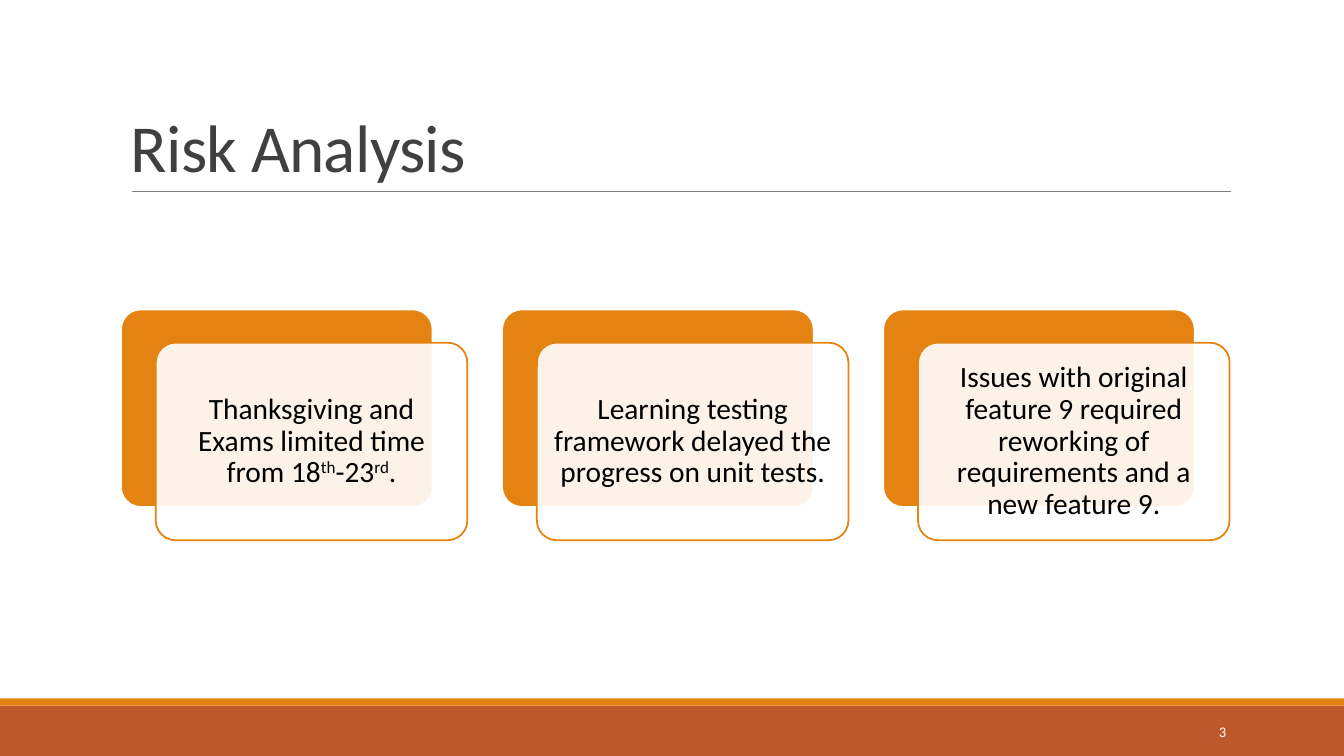
from lxml import etree
from pptx import Presentation
from pptx.dml.color import RGBColor
from pptx.enum import shapes, text
from pptx.oxml import ns
from pptx.util import Inches, Pt

TITLE = "Risk Analysis"
NUMBER = "3"
RISKS = [
    [("Thanksgiving and Exams limited time from 18", 0), ("th", 30),
     ("-23", 0), ("rd", 30), (".", 0)],
    [("Learning testing framework delayed the progress on unit tests.", 0)],
    [("Issues with original feature 9 required reworking of requirements "
      "and a new feature 9.", 0)],
]
COLORS = {"orange": "E48312", "rust": "BD582C", "gray": "808080",
          "dark": "404040", "black": "000000", "white": "FFFFFF"}
FONT = "Calibri"
WIDE, HIGH = 13.33, 7.5
LEFT, TOP, STEP = 1.2, 3.07, 3.78
CARD = (3.09, 1.96)
SHIFT = (0.345, 0.33)
PAD = 0.055


def color(name):
    return RGBColor.from_string(COLORS[name])


def box(slide, area, fill, kind="RECTANGLE", line=None, alpha=None):
    shape = slide.shapes.add_shape(
        getattr(shapes.MSO_SHAPE, kind), *map(Inches, area))
    shape.shadow.inherit = False
    shape.fill.solid()
    shape.fill.fore_color.rgb = color(fill)
    if alpha:
        tint = shape.fill._xPr.find(".//" + ns.qn("a:srgbClr"))
        etree.SubElement(tint, ns.qn("a:alpha"), val=str(alpha * 1000))
    if line:
        shape.line.color.rgb = color(line)
        shape.line.width = Pt(1.25)
    else:
        shape.line.fill.background()
    if kind == "ROUNDED_RECTANGLE":
        shape.adjustments[0] = 0.1


def write(slide, runs, area, size, tone, align="LEFT", anchor="MIDDLE",
          lead=1.0, inset=(0.1, 0.05), track=0):
    frame = slide.shapes.add_textbox(*map(Inches, area)).text_frame
    frame.word_wrap = True
    frame.vertical_anchor = getattr(text.MSO_ANCHOR, anchor)
    frame.margin_left = frame.margin_right = Inches(inset[0])
    frame.margin_top = frame.margin_bottom = Inches(inset[1])
    para = frame.paragraphs[0]
    para.alignment = getattr(text.PP_ALIGN, align)
    para.line_spacing = lead
    for words, raised in runs:
        run = para.add_run()
        run.text = words
        run.font.name = FONT
        run.font.size = Pt(size)
        run.font.color.rgb = color(tone)
        props = run.font._element
        if raised:
            props.set("baseline", str(raised * 1000))
        if track:
            props.set("spc", str(int(track * 100)))


def rule(slide, start, end):
    line = slide.shapes.add_connector(
        shapes.MSO_CONNECTOR.STRAIGHT, *map(Inches, start + end))
    line.line.color.rgb = color("gray")
    line.line.width = Pt(0.5)
    etree.SubElement(line._element.spPr, ns.qn("a:effectLst"))


def main():
    deck = Presentation()
    deck.slide_width, deck.slide_height = Inches(WIDE), Inches(HIGH)
    slide = deck.slides.add_slide(deck.slide_layouts[6])

    box(slide, (0, 7, WIDE, 0.5), "rust")
    box(slide, (0, 6.93, WIDE, 0.07), "orange")
    rule(slide, (1.31, 1.9), (12.21, 1.9))
    write(slide, [(TITLE, 0)], (LEFT, 0.31, 11, 1.59), 48, "dark",
          anchor="BOTTOM", lead=0.85, track=-0.5)

    for i, risk in enumerate(RISKS):
        left = LEFT + i * STEP
        x, y = left + SHIFT[0], TOP + SHIFT[1]
        box(slide, (left, TOP, *CARD), "orange", "ROUNDED_RECTANGLE", "white")
        box(slide, (x, y, *CARD), "white", "ROUNDED_RECTANGLE", "orange", 90)
        inner = (x + PAD, y + PAD, CARD[0] - 2 * PAD, CARD[1] - 2 * PAD)
        write(slide, risk, inner, 21, "black", align="CENTER", lead=0.9,
              inset=(0.09, 0.09))

    write(slide, [(NUMBER, 0)], (10.83, 7.06, 1.43, 0.4), 10.5, "white",
          align="RIGHT")
    deck.save("out.pptx")


if __name__ == "__main__":
    main()
